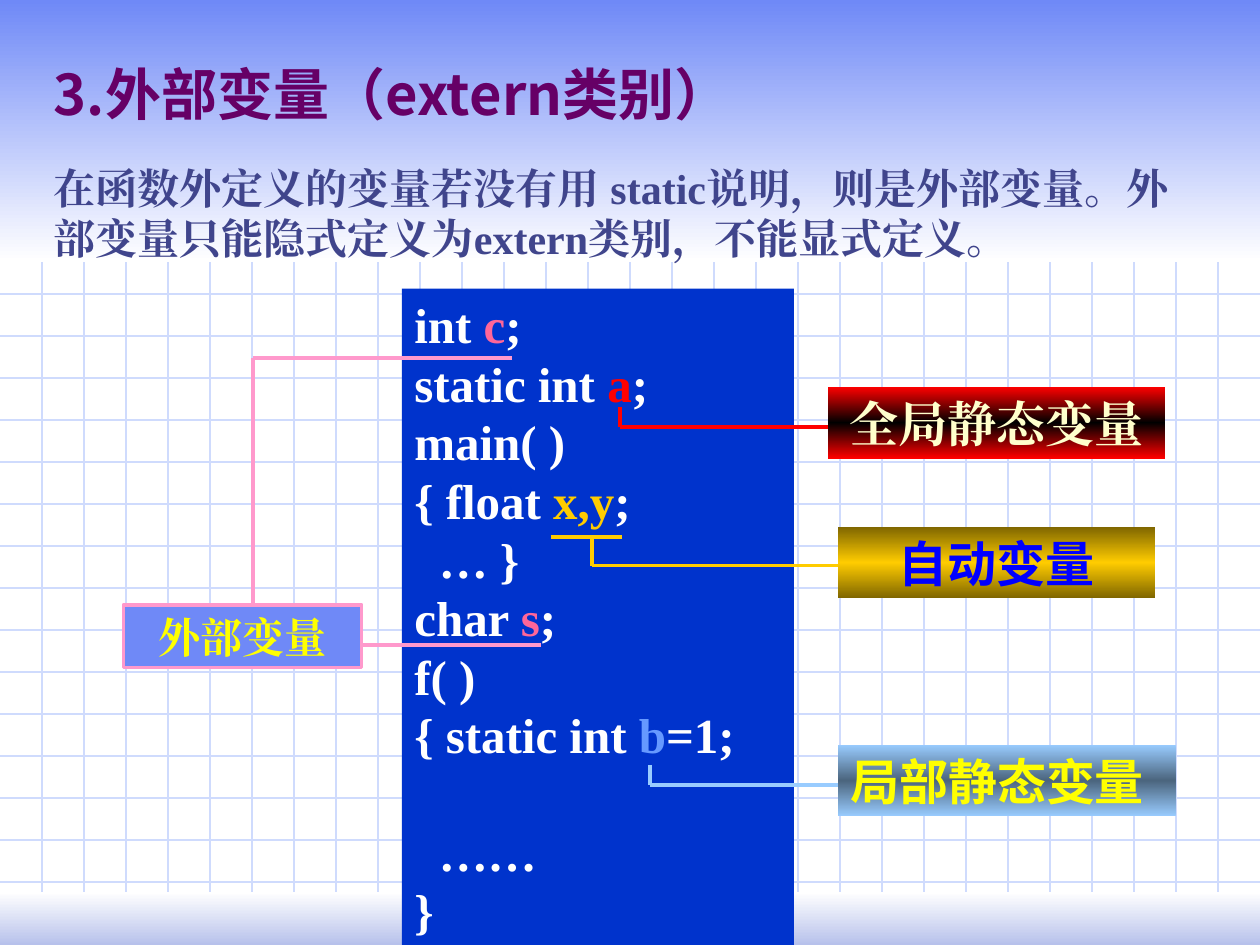
from pptx import Presentation
from pptx.dml.color import RGBColor
from pptx.enum.shapes import MSO_CONNECTOR, MSO_SHAPE
from pptx.enum.text import MSO_ANCHOR, PP_ALIGN
from pptx.oxml import parse_xml
from pptx.oxml.ns import nsdecls, qn
from pptx.util import Inches, Pt

RECT, STRAIGHT = MSO_SHAPE.RECTANGLE, MSO_CONNECTOR.STRAIGHT
LEFT, CENTER = PP_ALIGN.LEFT, PP_ALIGN.CENTER
TOP, MIDDLE = MSO_ANCHOR.TOP, MSO_ANCHOR.MIDDLE
SERIF, SANS = "Times New Roman", "Noto Sans CJK SC"
W, H = 10, 7.5
GRID_STEP = 1 / 3
HEADER_H, FOOTER_TOP = 2.08, 7.08
CODE_PITCH = 33.5

COLORS = {
    "white": "FFFFFF", "grid": "CFDBFD", "sky": "6F89F7", "mist": "B7C1EB",
    "code": "0033CC", "purple": "660066", "slate": "40458C",
    "rose": "FF6699", "pink": "FF99CC", "red": "FF0000", "black": "000000",
    "gold": "FFCC00", "bronze": "7E6500", "cream": "FFFFCC", "blue": "0000FF",
    "azure": "6699FF", "pale": "99CCFF", "steel": "4B657E", "yellow": "FFFF00",
}

# Content
TITLE = "3.外部变量（extern类别）"
DEFINITION = ("在函数外定义的变量若没有用 static说明，则是外部变量。"
              "外部变量只能隐式定义为extern类别，不能显式定义。")
CODE = [
    [("int ", "white"), ("c", "rose"), (";", "white")],
    [("static int ", "white"), ("a", "red"), (";", "white")],
    [("main( )", "white")],
    [("{ float ", "white"), ("x,y", "gold"), (";", "white")],
    [("  … }", "white")],
    [("char ", "white"), ("s", "rose"), (";", "white")],
    [("f( )", "white")],
    [("{ static int ", "white"), ("b", "azure"), ("=1;", "white")],
    [("  ……", "white")],
    [("}", "white")],
]
GAP_BEFORE = 8  # code line that follows a one-line gap

# Each storage class: label, box, fill, text format, outline, leader colour and segments
CLASSES = [
    dict(label="全局静态变量", box=(6.57, 3.07, 2.68, 0.57), fill=("red", "black", "red"),
         text=dict(size=28, font=SERIF, color="cream", align=CENTER), leader="red",
         segments=[(4.92, 3.23, 4.92, 3.39), (4.92, 3.39, 6.57, 3.39)]),
    dict(label="自动变量", box=(6.65, 4.18, 2.52, 0.57), fill=("bronze", "gold", "bronze"),
         text=dict(size=28, font=SANS, color="blue", align=CENTER), leader="gold",
         segments=[(4.7, 4.49, 6.65, 4.49), (4.37, 4.26, 4.94, 4.26),
                   (4.7, 4.26, 4.7, 4.49)]),
    dict(label="局部静态变量", box=(6.65, 5.91, 2.68, 0.57), fill=("pale", "steel", "pale"),
         text=dict(size=28, font=SANS, color="yellow"), leader="pale",
         segments=[(5.16, 6.07, 5.16, 6.23), (5.16, 6.23, 6.65, 6.23)]),
    dict(label="外部变量", box=(0.98, 4.8, 1.89, 0.5), fill=("sky",), outline="pink",
         text=dict(size=24, font=SERIF, color="yellow", align=CENTER), leader="pink",
         segments=[(2.01, 2.84, 4.06, 2.84), (2.48, 5.12, 4.29, 5.12),
                   (2.01, 2.84, 2.01, 4.81)]),
]


def rgb(name):
    return RGBColor.from_string(COLORS[name])


def line(x1, y1, x2, y2, color, width):
    stroke = slide.shapes.add_connector(STRAIGHT, *map(Inches, (x1, y1, x2, y2)))
    stroke.line.color.rgb = rgb(color)
    stroke.line.width = Pt(width)
    stroke._element.spPr.append(parse_xml(f"<a:effectLst {nsdecls('a')}/>"))


def rect(box, fill, outline=None):
    """Rectangle with one solid colour or a vertical gradient of several."""
    shape = slide.shapes.add_shape(RECT, *map(Inches, box))
    shape.shadow.inherit = False
    if len(fill) == 1:
        shape.fill.solid()
        shape.fill.fore_color.rgb = rgb(fill[0])
    else:
        shape.fill.gradient()
        shape.fill.gradient_angle = 270
        stops = shape._element.spPr.find(".//" + qn("a:gsLst"))
        for stop in list(stops):
            stops.remove(stop)
        for i, name in enumerate(fill):
            position = 100000 * i // (len(fill) - 1)
            stops.append(parse_xml(f'<a:gs {nsdecls("a")} pos="{position}">'
                                   f'<a:srgbClr val="{COLORS[name]}"/></a:gs>'))
    if outline:
        shape.line.color.rgb = rgb(outline)
        shape.line.width = Pt(2)
    else:
        shape.line.fill.background()
    return shape


def write(shape, text, size, font, color="white", align=LEFT, anchor=MIDDLE,
          pitch=None, gap_before=None):
    """Text is one string, or a list of lines made of (words, colour) runs."""
    lines = [[(text, color)]] if isinstance(text, str) else text
    frame = shape.text_frame
    frame.word_wrap = True
    frame.vertical_anchor = anchor
    for i, runs in enumerate(lines):
        paragraph = frame.add_paragraph() if i else frame.paragraphs[0]
        paragraph.alignment = align
        if pitch:
            paragraph.line_spacing = Pt(pitch)
        if i and i == gap_before:
            paragraph.space_before = Pt(pitch)
        for words, run_color in runs:
            run = paragraph.add_run()
            run.text = words
            run.font.size, run.font.bold, run.font.name = Pt(size), True, font
            run.font.color.rgb = rgb(run_color)
            run.font._element.append(
                parse_xml(f'<a:ea {nsdecls("a")} typeface="{font}"/>'))


def text_box(box):
    return slide.shapes.add_textbox(*map(Inches, box))


prs = Presentation()
prs.slide_width, prs.slide_height = Inches(W), Inches(H)
slide = prs.slides.add_slide(prs.slide_layouts[6])

# Background grid with header and footer bands
for row in range(int(HEADER_H / GRID_STEP) + 1, int(FOOTER_TOP / GRID_STEP) + 1):
    line(0, row * GRID_STEP, W, row * GRID_STEP, "grid", 0.75)
for column in range(1, round(W / GRID_STEP)):
    line(column * GRID_STEP, 0, column * GRID_STEP, H, "grid", 0.75)
rect((0, 0, W, HEADER_H), ("sky", "white"))
rect((0, FOOTER_TOP, W, H - FOOTER_TOP), ("white", "mist"))

# Code listing
write(rect((3.19, 2.29, 3.11, 5.24), ("code",)), CODE, size=28, font=SERIF,
      anchor=TOP, pitch=CODE_PITCH, gap_before=GAP_BEFORE)

# Title and definition
write(text_box((0.33, 0.44, 9, 0.6)), TITLE, size=32, font=SANS, color="purple")
write(text_box((0.33, 1.24, 9.08, 1.14)), DEFINITION, size=24, font=SERIF,
      color="slate", anchor=TOP, pitch=28.8)

# Storage classes with their leaders
for item in CLASSES:
    for segment in item["segments"]:
        line(*segment, item["leader"], 2)
    write(rect(item["box"], item["fill"], item.get("outline")), item["label"], **item["text"])

prs.save("out.pptx")
